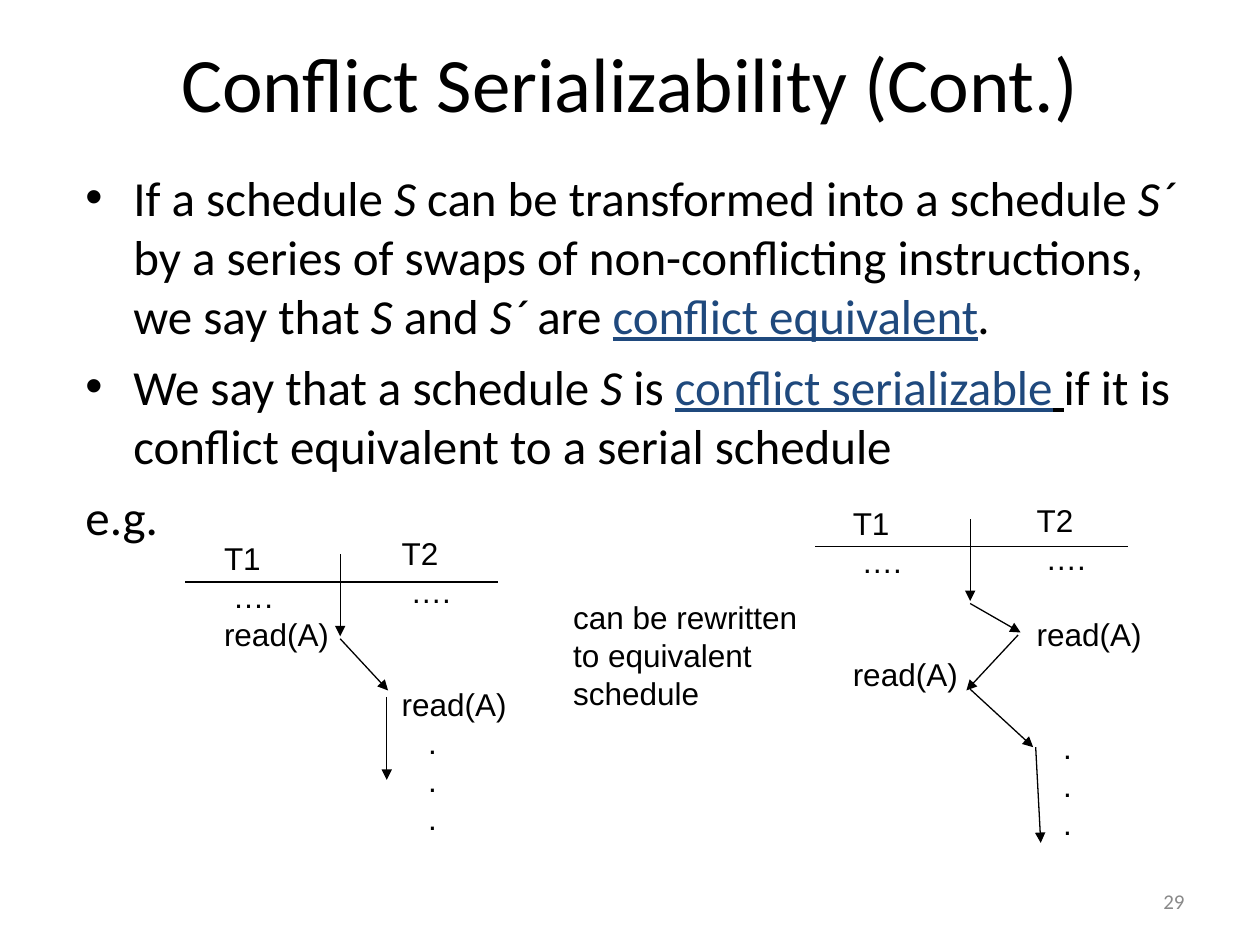
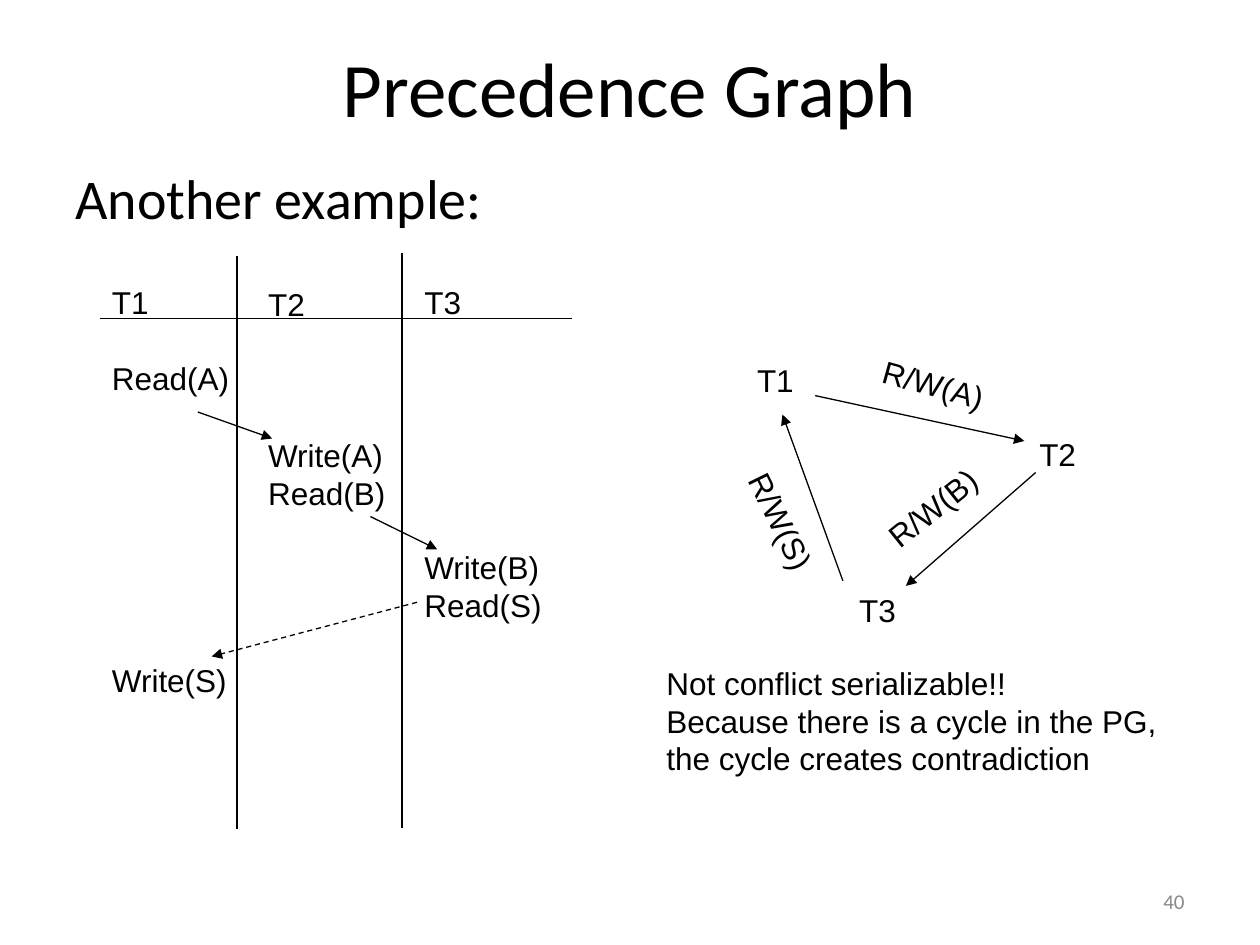
from lxml.etree import SubElement
from pptx import Presentation
from pptx.dml.color import RGBColor
from pptx.enum.dml import MSO_LINE
from pptx.enum.shapes import MSO_CONNECTOR
from pptx.enum.text import MSO_ANCHOR, MSO_AUTO_SIZE, PP_ALIGN
from pptx.oxml.ns import qn
from pptx.util import Inches, Pt

BLACK = RGBColor(0x00, 0x00, 0x00)
TERM_BLUE = RGBColor(0x1F, 0x49, 0x7D)
NUMBER_GRAY = RGBColor(0x89, 0x89, 0x89)

TITLE = {"name": "Calibri", "size": Pt(44), "color": BLACK}
BODY = {"name": "Calibri", "size": Pt(28), "color": BLACK}
LEAD = BODY | {"size": Pt(32)}
LABEL = {"name": "Arial", "size": Pt(18), "color": BLACK}
NUMBER = {"name": "Calibri", "size": Pt(12), "color": NUMBER_GRAY}
ITALIC = {"italic": True}
TERM = {"underline": True, "color": TERM_BLUE}

ROW = 0.3  # height of one schedule row, inches
DOTS, DOT = "….", "."
INDENTS = {DOTS: 0.07, DOT: 0.21}


# Shared helpers
def add_run(paragraph, text, style):
    run = paragraph.add_run()
    run.text = text
    for key, value in style.items():
        if key == "color":
            run.font.color.rgb = value
        else:
            setattr(run.font, key, value)


def set_indent(paragraph, margin, first_line=0, bullet=None):
    properties = paragraph._p.get_or_add_pPr()
    properties.set("marL", str(Inches(margin)))
    properties.set("indent", str(Inches(first_line)))
    if bullet:
        font = SubElement(properties, qn("a:buFont"))
        font.set("typeface", "Arial")
        SubElement(properties, qn("a:buChar")).set("char", bullet)


def add_frame(slide, left, top, width, height, wrap=True, rotation=0):
    box = slide.shapes.add_textbox(*map(Inches, (left, top, width, height)))
    box.rotation = rotation
    frame = box.text_frame
    frame.word_wrap = wrap
    frame.auto_size = MSO_AUTO_SIZE.NONE
    return frame


def add_rows(slide, left, top, width, rows, rotation=0):
    """Place texts by row number; skipped rows become paragraph spacing."""
    height = 0.1 + ROW * (max(rows) + 1)
    frame = add_frame(slide, left, top, width, height, False, rotation)
    previous = -1
    for row, text in rows.items():
        paragraph = frame.paragraphs[0] if previous < 0 else frame.add_paragraph()
        paragraph.line_spacing = Inches(ROW)
        paragraph.space_before = Inches(ROW * (row - previous - 1))
        set_indent(paragraph, INDENTS.get(text, 0))
        add_run(paragraph, text, LABEL)
        previous = row


def add_line(slide, left, top, points, arrow=False, dashed=False):
    """Draw a line between points given relative to left and top."""
    x1, y1, x2, y2 = points
    line = slide.shapes.add_connector(
        MSO_CONNECTOR.STRAIGHT,
        *map(Inches, (left + x1, top + y1, left + x2, top + y2)))
    line.line.color.rgb = BLACK
    line.line.width = Pt(0.75)
    if dashed:
        line.line.dash_style = MSO_LINE.DASH
    if arrow:
        SubElement(line.line._get_or_add_ln(), qn("a:tailEnd")).set("type", "triangle")
    SubElement(line._element.spPr, qn("a:effectLst"))


def add_titled_slide(presentation, title, title_top, number):
    slide = presentation.slides.add_slide(presentation.slide_layouts[5])
    shape = slide.shapes.title
    place = {"left": 0.5, "top": title_top, "width": 9, "height": 1.03}
    for key, value in place.items():
        setattr(shape, key, Inches(value))
    shape.text_frame.vertical_anchor = MSO_ANCHOR.MIDDLE
    shape.text_frame.auto_size = MSO_AUTO_SIZE.NONE
    heading = shape.text_frame.paragraphs[0]
    heading.alignment = PP_ALIGN.CENTER
    add_run(heading, title, TITLE)

    # Slide number
    frame = add_frame(slide, 7.17, 6.95, 2.33, 0.4)
    frame.vertical_anchor = MSO_ANCHOR.MIDDLE
    frame.paragraphs[0].alignment = PP_ALIGN.RIGHT
    add_run(frame.paragraphs[0], number, NUMBER)
    return slide


# Regions
def add_body(slide, box, paragraphs, style, space):
    frame = add_frame(slide, *box)
    for index, (bullet, runs) in enumerate(paragraphs):
        paragraph = frame.add_paragraph() if index else frame.paragraphs[0]
        paragraph.space_before = Pt(space)
        set_indent(paragraph, 0.38, -0.38, bullet)
        for text, extra in runs:
            add_run(paragraph, text, style | extra)


def add_schedule(slide, left, top, column_width, columns, rules, arrows, dashed=()):
    """Columns are (x, y, rows); all places are relative to left and top."""
    for x, y, rows in columns:
        add_rows(slide, left + x, top + y, column_width, rows)
    for rule in rules:
        add_line(slide, left, top, rule)
    for arrow in arrows:
        add_line(slide, left, top, arrow, arrow=True)
    for arrow in dashed:
        add_line(slide, left, top, arrow, arrow=True, dashed=True)


def add_precedence_graph(slide, left, top):
    nodes = [("T1", 0.22, 0), ("T2", 2.46, 0.58), ("T3", 1.03, 1.82)]
    edges = [
        ("R/W(A)", (0.78, 0.32, 2.44, 0.68), (1.21, 0.03), 15.6),
        ("R/W(B)", (2.53, 0.93, 1.5, 1.83), (1.2, 1.01), 321.2),
        ("R/W(S)", (1, 1.79, 0.52, 0.47), (0, 1.12), 63.8),
    ]
    for name, x, y in nodes:
        add_rows(slide, left + x, top + y, 0.49, {0: name})
    for name, points, (x, y), angle in edges:
        add_line(slide, left, top, points, arrow=True)
        add_rows(slide, left + x, top + y, 1.02, {0: name}, angle)


# Slides
def build_conflict_slide(presentation):
    slide = add_titled_slide(presentation, "Conflict Serializability (Cont.)", 0.13, "29")
    add_body(slide, (0.58, 1.28, 9.08, 5.14), [
        ("•", [
            ("If a schedule ", {}), ("S", ITALIC),
            (" can be transformed into a schedule ", {}), ("S´ ", ITALIC),
            ("by a series of swaps of non-conflicting instructions, we say that ", {}),
            ("S", ITALIC), (" and ", {}), ("S´ ", ITALIC), ("are ", {}),
            ("conflict equivalent", TERM), (".", ITALIC)]),
        ("•", [
            ("We say that a schedule ", {}), ("S", ITALIC), (" is ", {}),
            ("conflict serializable", TERM), (" ", {"underline": True}),
            ("if it is conflict equivalent to a serial schedule", {})]),
        (None, [("e.g.", {})]),
    ], BODY, 7)

    # Schedule before the swap
    add_schedule(
        slide, 1.47, 4.19, 1.03,
        columns=[
            (0.21, 0.04, {0: "T1", 1: DOTS, 2: "read(A)"}),
            (1.62, 0, {0: "T2", 1: DOTS, 4: "read(A)", 5: DOT, 6: DOT, 7: DOT})],
        rules=[(0, 0.43, 2.48, 0.43)],
        arrows=[(1.23, 0.21, 1.23, 0.86), (1.23, 0.88, 1.61, 1.29),
                (1.6, 1.34, 1.6, 2)])

    # Schedule after the swap
    add_schedule(
        slide, 6.47, 3.93, 1.03,
        columns=[
            (0.2, 0.02, {0: "T1", 1: DOTS, 4: "read(A)"}),
            (1.66, 0, {0: "T2", 1: DOTS, 3: "read(A)", 6: DOT, 7: DOT, 8: DOT})],
        rules=[(0, 0.41, 2.48, 0.41)],
        arrows=[(1.23, 0.19, 1.23, 0.84), (1.23, 0.86, 1.63, 1.09),
                (1.61, 1.11, 1.2, 1.55), (1.23, 1.54, 1.73, 2),
                (1.75, 2, 1.79, 2.76)])

    add_rows(slide, 4.45, 4.7, 1.98,
             {0: "can be rewritten", 1: "to equivalent", 2: "schedule"})


def build_precedence_slide(presentation):
    slide = add_titled_slide(presentation, "Precedence Graph", 0.17, "40")
    add_body(slide, (0.5, 1.25, 9, 4.95), [(None, [("Another example:", {})])], LEAD, 8)
    add_schedule(
        slide, 0.79, 2.01, 1.13,
        columns=[
            (0, 0.19, {0: "T1", 2: "Read(A)", 10: "Write(S)"}),
            (1.24, 0.2, {0: "T2", 4: "Write(A)", 5: "Read(B)"}),
            (2.48, 0.19, {0: "T3", 7: "Write(B)", 8: "Read(S)"})],
        rules=[(0, 0.52, 3.75, 0.52), (1.09, 0.02, 1.09, 4.57), (2.4, 0, 2.4, 4.56)],
        arrows=[(0.78, 1.26, 1.37, 1.47), (2.15, 2.09, 2.68, 2.35)],
        dashed=[(2.52, 2.77, 0.89, 3.2)])
    add_precedence_graph(slide, 5.69, 2.82)
    add_rows(slide, 5.19, 5.22, 4.09,
             {0: "Not conflict serializable!!",
              1: "Because there is a cycle in the PG,",
              2: "the cycle creates contradiction"})


def main():
    presentation = Presentation()
    presentation.slide_width = Inches(10)
    presentation.slide_height = Inches(7.5)
    build_conflict_slide(presentation)
    build_precedence_slide(presentation)
    presentation.save("out.pptx")


if __name__ == "__main__":
    main()
